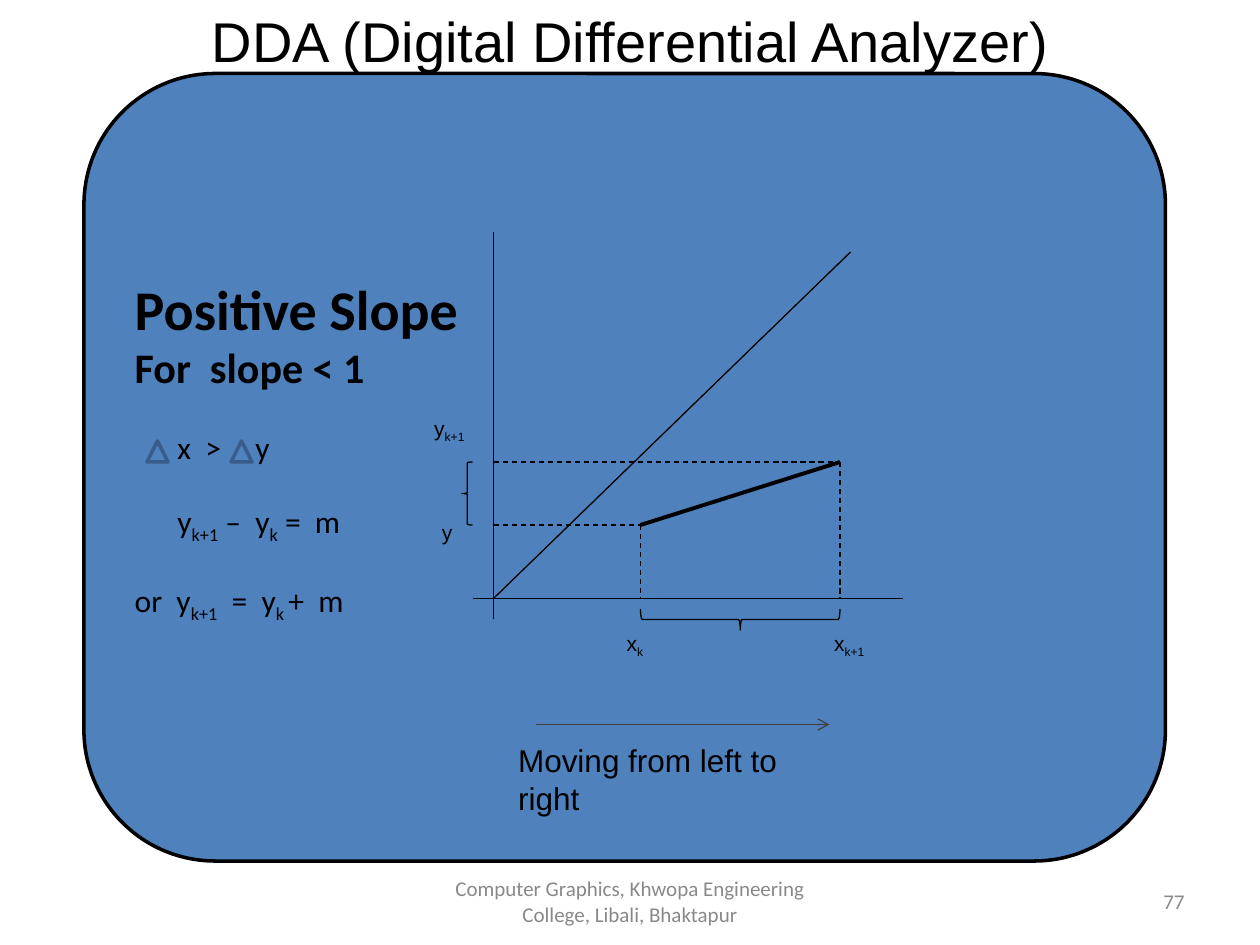
from dataclasses import dataclass

from lxml import etree
from pptx import Presentation
from pptx import util as u
from pptx.dml.color import RGBColor
from pptx.enum import dml, shapes, text
from pptx.oxml import ns

COLOURS = {"ink": "000000", "panel": "4F81BD", "delta": "385D8A",
           "arrow": "404040", "footer": "898989"}

# Graph coordinates in points
AXIS_X, AXIS_Y = 282, 342
X_K, X_NEXT = 366, 480
Y_K, Y_NEXT = 300, 264

BLANK_LINE = 20.7
FORMULA_TABS = (24.4, 69)


@dataclass
class Span:
    words: str
    sub: bool = False


@dataclass
class Line:
    spans: list[Span]
    size: float = 18
    bold: bool = False
    before: float = 0
    font: str = "Calibri"
    colour: str = "ink"
    align: text.PP_ALIGN = text.PP_ALIGN.LEFT


@dataclass
class Segment:
    start: tuple[float, float]
    end: tuple[float, float]
    width: float = 0.75
    dashed: bool = False
    colour: str = "ink"
    arrow: bool = False


@dataclass
class Label:
    left: float
    top: float
    width: float
    height: float
    line: Line
    wrap: bool = False


def rgb(name: str) -> RGBColor:
    return RGBColor.from_string(COLOURS[name])


def add_tabs(para, stops: tuple[float, ...]) -> None:
    tabs = etree.SubElement(para._p.get_or_add_pPr(), ns.qn("a:tabLst"))
    for stop in stops:
        etree.SubElement(tabs, ns.qn("a:tab"), pos=str(int(u.Pt(stop))), algn="l")


def write_line(para, line: Line) -> None:
    para.alignment = line.align
    if line.before:
        para.space_before = u.Pt(line.before)
    if any("\t" in item.words for item in line.spans):
        add_tabs(para, FORMULA_TABS)
    for item in line.spans:
        span = para.add_run()
        span.text = item.words
        span.font.name = line.font
        span.font.size = u.Pt(line.size)
        span.font.bold = line.bold
        span.font.color.rgb = rgb(line.colour)
        if item.sub:
            span.font._element.set("baseline", "-25000")


def add_label(page, label: Label) -> None:
    box = page.shapes.add_textbox(u.Pt(label.left), u.Pt(label.top),
                                  u.Pt(label.width), u.Pt(label.height))
    frame = box.text_frame
    frame.word_wrap = label.wrap
    frame.vertical_anchor = (text.MSO_ANCHOR.MIDDLE if label.wrap
                             else text.MSO_ANCHOR.TOP)
    write_line(frame.paragraphs[0], label.line)


def add_figure(page, kind, left: float, top: float, width: float, height: float,
               line: str, weight: float, fill: str = "", turn: float = 0):
    figure = page.shapes.add_shape(kind, u.Pt(left), u.Pt(top),
                                   u.Pt(width), u.Pt(height))
    figure.shadow.inherit = False
    figure.rotation = turn
    figure.line.color.rgb = rgb(line)
    figure.line.width = u.Pt(weight)
    if fill:
        figure.fill.solid()
        figure.fill.fore_color.rgb = rgb(fill)
    else:
        figure.fill.background()
    return figure


def add_segment(page, segment: Segment) -> None:
    ends = [u.Pt(value) for value in (*segment.start, *segment.end)]
    line = page.shapes.add_connector(shapes.MSO_CONNECTOR.STRAIGHT, *ends)
    line.line.color.rgb = rgb(segment.colour)
    line.line.width = u.Pt(segment.width)
    if segment.dashed:
        line.line.dash_style = dml.MSO_LINE.DASH
    if segment.arrow:
        etree.SubElement(line.line._get_or_add_ln(), ns.qn("a:tailEnd"), type="arrow")
    etree.SubElement(line._element.spPr, ns.qn("a:effectLst"))


def arial(*spans: Span, size: float = 12) -> Line:
    return Line(list(spans), size, font="Arial")


NEXT, THIS = Span("k+1", True), Span("k", True)

PANEL_LINES = [
    Line([Span("Positive Slope")], 32, True),
    Line([Span("For  slope < 1")], 24, True),
    Line([Span("\tx  >\ty")], before=BLANK_LINE),
    Line([Span("\ty"), NEXT, Span(" –  y"), THIS, Span(" =  m")], before=BLANK_LINE),
    Line([Span("or  y"), NEXT, Span("  =  y"), Span("k ", True), Span("+  m")],
         before=BLANK_LINE),
]

SEGMENTS = [
    Segment((AXIS_X, 132.5), (AXIS_X, 354)),
    Segment((270, AXIS_Y), (516, AXIS_Y)),
    Segment((AXIS_X, AXIS_Y), (486, 144)),
    Segment((X_K, Y_K), (X_NEXT, Y_NEXT), 2.25),
    Segment((X_K, Y_K), (X_K, AXIS_Y), dashed=True),
    Segment((X_NEXT, Y_NEXT), (X_NEXT, AXIS_Y), dashed=True),
    Segment((AXIS_X, Y_NEXT), (X_NEXT, Y_NEXT), dashed=True),
    Segment((AXIS_X, Y_K), (X_K, Y_K), dashed=True),
    Segment((306, 414), (474, 414), colour="arrow", arrow=True),
]

LABELS = [
    Label(516, 500.5, 168, 28.8, Line([Span("77")], 12, colour="footer",
          align=text.PP_ALIGN.RIGHT), True),
    Label(246, 500.5, 228, 28.8, Line(
        [Span("Computer Graphics, Khwopa Engineering College, Libali, Bhaktapur")],
        12, colour="footer", align=text.PP_ALIGN.CENTER), True),
    Label(241, 234, 32, 24, arial(Span("y"), NEXT)),
    Label(245.5, 293.4, 20.4, 21, arial(Span("y"))),
    Label(351, 356.5, 24, 24, arial(Span("x"), THIS)),
    Label(469.5, 356.5, 32, 24, arial(Span("x"), NEXT)),
    Label(289, 420, 202, 29, arial(Span("Moving from left to right"), size=18)),
    Label(114, 0, 497, 46, arial(Span("DDA (Digital Differential Analyzer)"), size=32)),
]


def main() -> None:
    deck = Presentation()
    deck.slide_width, deck.slide_height = u.Pt(720), u.Pt(540)
    page = deck.slides.add_slide(deck.slide_layouts[6])
    kinds = shapes.MSO_SHAPE

    # Panel with the formulas
    panel = add_figure(page, kinds.ROUNDED_RECTANGLE, 48, 42, 618, 450,
                       "ink", 2, "panel")
    frame = panel.text_frame
    frame.word_wrap = True
    frame.vertical_anchor = text.MSO_ANCHOR.MIDDLE
    frame.margin_bottom = u.Pt(3.6 + BLANK_LINE)
    for index, line in enumerate(PANEL_LINES):
        write_line(frame.add_paragraph() if index else frame.paragraphs[0], line)

    # Delta signs in front of x and y
    for left in (84, 132):
        add_figure(page, kinds.ISOSCELES_TRIANGLE, left, 252, 12, 12,
                   "delta", 2, "panel")

    # Graph, with braces marking the x and y steps
    for segment in SEGMENTS:
        add_segment(page, segment)
    x_step, y_step = X_NEXT - X_K, Y_K - Y_NEXT
    add_figure(page, kinds.RIGHT_BRACE, (X_K + X_NEXT) / 2 - 6, 354 - x_step / 2,
               12, x_step, "ink", 0.75, turn=90)
    add_figure(page, kinds.RIGHT_BRACE, 264, Y_NEXT, 6, y_step,
               "ink", 0.75, turn=180)

    # Title, captions and footer
    for label in LABELS:
        add_label(page, label)

    deck.save("out.pptx")


if __name__ == "__main__":
    main()
